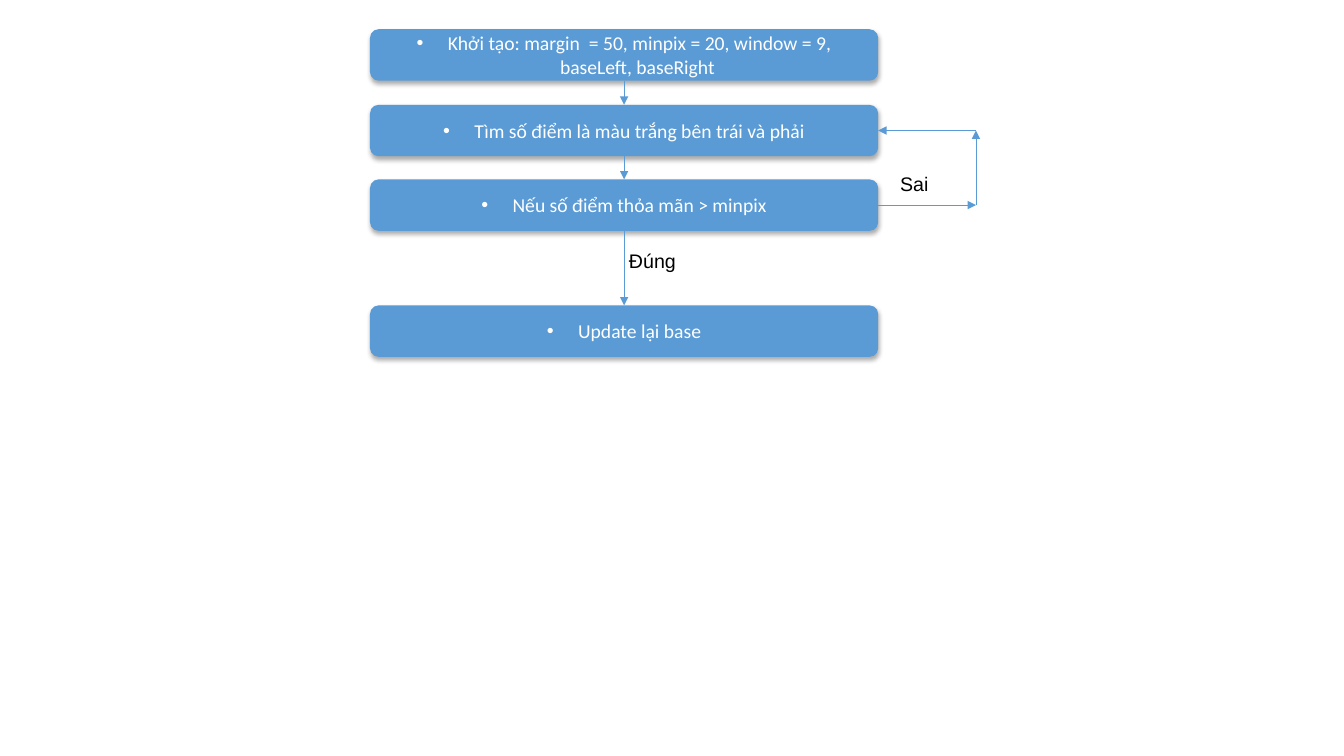
from lxml import etree
from pptx import Presentation
from pptx.dml.color import RGBColor
from pptx.enum.shapes import MSO_CONNECTOR, MSO_SHAPE
from pptx.enum.text import MSO_ANCHOR, MSO_AUTO_SIZE, PP_ALIGN
from pptx.oxml import parse_xml
from pptx.oxml.ns import qn
from pptx.util import Inches, Pt

ROUNDED, STRAIGHT = MSO_SHAPE.ROUNDED_RECTANGLE, MSO_CONNECTOR.STRAIGHT
CENTER, LEFT, MIDDLE, TOP = PP_ALIGN.CENTER, PP_ALIGN.LEFT, MSO_ANCHOR.MIDDLE, MSO_ANCHOR.TOP
GROW = MSO_AUTO_SIZE.SHAPE_TO_FIT_TEXT
BLUE, WHITE, BLACK = "5B9BD5", "FFFFFF", "000000"
NS = "http://schemas.openxmlformats.org/drawingml/2006/main"

STEPS = [
    ("Khởi tạo: margin  = 50, minpix = 20, window = 9, baseLeft, baseRight ", 0.29),
    ("Tìm số điểm là màu trắng bên trái và phải", 1.04),
    ("Nếu số điểm thỏa mãn > minpix", 1.78),
    ("Update lại base", 3.03),
]
BRANCH_LABELS = [("Đúng", 6.14, 2.42), ("Sai", 8.83, 1.66)]
BOX_LEFT, BOX_W, BOX_H = 3.67, 5.04, 0.51
LABEL_W, LABEL_H = 0.73, 0.34
LOOP_X = 9.68


def rgb(value):
    return RGBColor.from_string(value)


def write(s, text, font="Arial", color=BLACK, align=LEFT, anchor=TOP, bullet=False):
    tf = s.text_frame
    tf.word_wrap = True
    tf.vertical_anchor = anchor
    p = tf.paragraphs[0]
    p.alignment = align
    if bullet:
        pPr = p._p.get_or_add_pPr()
        pPr.set("marL", str(Inches(0.31)))
        pPr.set("indent", str(-Inches(0.31)))
        etree.SubElement(pPr, qn("a:buFont")).set("typeface", "Arial")
        etree.SubElement(pPr, qn("a:buChar")).set("char", "•")
    r = p.add_run()
    r.text = text
    r.font.name, r.font.size = font, Pt(14)
    r.font.color.rgb = rgb(color)


def add_step(text, top):
    s = slide.shapes.add_shape(ROUNDED, Inches(BOX_LEFT), Inches(top), Inches(BOX_W), Inches(BOX_H))
    s.fill.solid()
    s.fill.fore_color.rgb = rgb(BLUE)
    s.line.fill.background()
    s._element.spPr.append(parse_xml(
        f'<a:effectLst xmlns:a="{NS}"><a:outerShdw blurRad="{Pt(3.5)}" dist="{Pt(2.2)}" '
        f'dir="5400000" algn="ctr" rotWithShape="0"><a:srgbClr val="{BLACK}">'
        '<a:alpha val="32000"/></a:srgbClr></a:outerShdw></a:effectLst>'))
    write(s, text, font="Calibri", color=WHITE, align=CENTER, anchor=MIDDLE, bullet=True)


def add_arrow(start, end):
    s = slide.shapes.add_connector(STRAIGHT, *map(Inches, start + end))
    s.line.color.rgb = rgb(BLUE)
    s.line.width = Pt(0.5)
    etree.SubElement(s.line._get_or_add_ln(), qn("a:tailEnd")).set("type", "triangle")
    etree.SubElement(s._element.spPr, qn("a:effectLst"))


prs = Presentation()
prs.slide_width, prs.slide_height = Inches(13.33), Inches(7.5)
slide = prs.slides.add_slide(prs.slide_layouts[6])

for text, top in STEPS:
    add_step(text, top)

tops = [top for _, top in STEPS]
center = BOX_LEFT + BOX_W / 2
for upper, lower in zip(tops, tops[1:]):
    add_arrow((center, upper + BOX_H), (center, lower))

right = BOX_LEFT + BOX_W
search_y, check_y = (top + BOX_H / 2 for top in tops[1:3])
loop = [(right, check_y), (LOOP_X, check_y), (LOOP_X, search_y), (right, search_y)]
for start, end in zip(loop, loop[1:]):
    add_arrow(start, end)

for text, left, top in BRANCH_LABELS:
    s = slide.shapes.add_textbox(Inches(left), Inches(top), Inches(LABEL_W), Inches(LABEL_H))
    write(s, text)
    s.text_frame.auto_size = GROW

prs.save("out.pptx")
